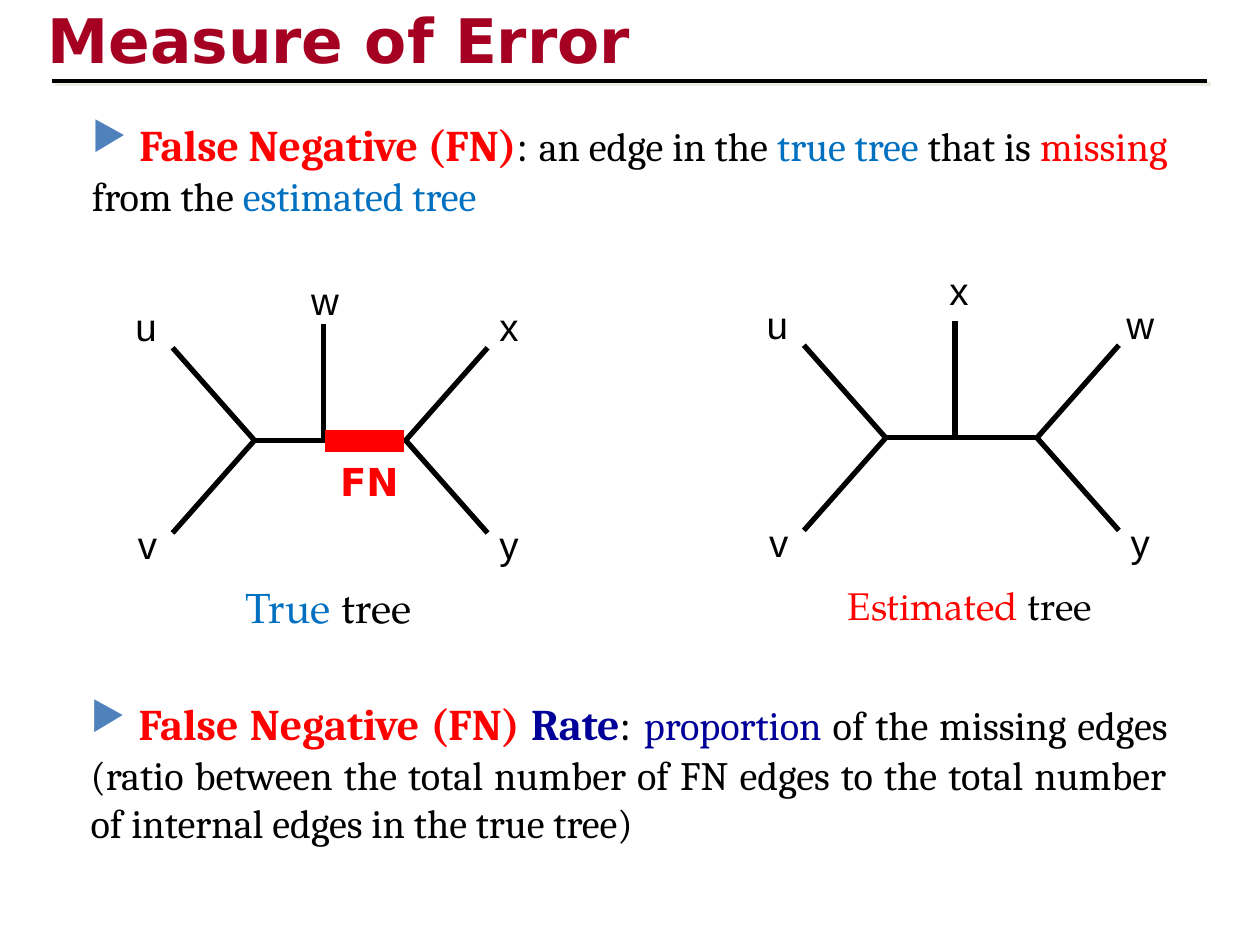
"""Build the slide that explains false negatives with a true and an estimated tree."""
from lxml.etree import SubElement
from pptx import Presentation
from pptx.dml.color import RGBColor as RGB
from pptx.enum.shapes import MSO_CONNECTOR as Connector
from pptx.enum.text import MSO_ANCHOR as Anchor, PP_ALIGN as Align
from pptx.oxml import parse_xml
from pptx.oxml.ns import nsdecls, qn
from pptx.util import Inches, Pt

THEME = {
    "black": "000000", "title": "A50021", "red": "FF0000", "blue": "0070C0",
    "navy": "000099", "bullet": "4F81BD", "shadow": "EEECE1",
    "title_font": "DejaVu Sans", "label_font": "Arial", "body_font": "Cambria",
    "space_font": "Times New Roman", "caption_font": "TeX Gyre Pagella",
    "title_size": 35.1, "label_size": 22, "term_size": 25, "gap_size": 28,
    "body_size": 23, "true_size": 24, "estimated_size": 22,
    "rule": 2.25, "edge": 3, "missing_edge": 13,
}
SHADOW = (f'<a:effectLst {nsdecls("a")}><a:outerShdw dist="35921" dir="2700000" algn="ctr" '
          f'rotWithShape="0"><a:srgbClr val="{THEME["shadow"]}"/></a:outerShdw></a:effectLst>')

deck = Presentation()
deck.slide_width, deck.slide_height = Inches(10), Inches(7.5)
slide = deck.slides.add_slide(deck.slide_layouts[6])
COLUMN, ROW = deck.slide_width / 100, deck.slide_height / 75


def add_edge(start, end, color="black", weight="edge"):
    (x1, y1), (x2, y2) = start, end
    edge = slide.shapes.add_connector(Connector.STRAIGHT, int(x1 * COLUMN), int(y1 * ROW),
                                      int(x2 * COLUMN), int(y2 * ROW))
    edge.line.color.rgb = RGB.from_string(THEME[color])
    edge.line.width = Pt(THEME[weight])
    SubElement(edge._element.spPr, qn("a:effectLst"))
    return edge


def add_text(area, pieces, frame_format=None, paragraph_format=None, bullet=False):
    left, top, width, height = area
    box = slide.shapes.add_textbox(int(left * COLUMN), int(top * ROW),
                                   int(width * COLUMN), int(height * ROW))
    frame = box.text_frame
    paragraph = frame.paragraphs[0]
    for target, values in ((frame, {"word_wrap": True, **(frame_format or {})}),
                           (paragraph, paragraph_format or {})):
        for attribute, value in values.items():
            setattr(target, attribute, value)
    if bullet:
        properties = paragraph._p.get_or_add_pPr()
        SubElement(SubElement(properties, qn("a:buClr")), qn("a:srgbClr"), val=THEME["bullet"])
        SubElement(properties, qn("a:buSzPct"), val="90000")
        SubElement(properties, qn("a:buChar"), char="▶")
    for wording, font, size, color, bold in pieces:
        run = paragraph.add_run()
        run.text = wording
        for attribute, value in {"name": THEME[font], "size": Pt(THEME[size]), "bold": bold}.items():
            setattr(run.font, attribute, value)
        run.font.color.rgb = RGB.from_string(THEME[color])
    return paragraph


heading = add_text((2.8, -0.3, 85, 6.7),
                   [("Measure of Error", "title_font", "title_size", "title", True)])
heading.runs[0].font._element.find(qn("a:latin")).addprevious(parse_xml(SHADOW))
rule = add_edge((4.1, 6.4), (95.8, 6.4), weight="rule")
rule._element.spPr.replace(rule._element.spPr.find(qn("a:effectLst")), parse_xml(SHADOW))

label_frame = {"vertical_anchor": Anchor.MIDDLE, "margin_left": 0, "margin_right": 0,
               "margin_top": 0, "margin_bottom": 0}
label_paragraph = {"alignment": Align.CENTER, "line_spacing": 0.93}
LABEL_WIDTH, LABEL_HEIGHT = 6.5, 5.1
SPAN, DROP, FORK, STEM = 25, 14.7, 6.5, 12
MIDDLE = DROP / 2
leaf_spots = ((-2.1, -1.5), (-2, 15.8), (26.7, -1.5), (26.7, 15.8))
branches = (((0, 0), (FORK, MIDDLE)), ((0, DROP), (FORK, MIDDLE)),
            ((SPAN, 0), (SPAN - FORK, MIDDLE)), ((SPAN, DROP), (SPAN - FORK, MIDDLE)),
            ((FORK, MIDDLE), (SPAN - FORK, MIDDLE)), ((STEM, MIDDLE), (STEM, -1.9)))
trees = (((13.7, 27.6), "uvxy", "w", (12.1, -3.6)),
         ((63.8, 27.4), "uvwy", "x", (12.3, -4.2)))
for (tree_x, tree_y), leaves, top_leaf, top_spot in trees:
    for start, end in branches:
        add_edge(*((tree_x + x, tree_y + y) for x, y in (start, end)))
    for leaf, (x, y) in zip(leaves + top_leaf, (*leaf_spots, top_spot)):
        add_text((tree_x + x - LABEL_WIDTH / 2, tree_y + y - LABEL_HEIGHT / 2,
                  LABEL_WIDTH, LABEL_HEIGHT),
                 [(leaf, "label_font", "label_size", "black", False)],
                 label_frame, label_paragraph)

add_edge((25.8, 35), (32.1, 35), "red", "missing_edge")
add_text((26.7, 35.9, 5.2, 4.6), [("FN", "title_font", "label_size", "red", True)],
         {**label_frame, "word_wrap": False}, {"alignment": Align.CENTER})

add_text((6.3, 8.4, 87.5, 9.8), [
    (" ", "space_font", "term_size", "black", False),
    ("False Negative (FN)", "body_font", "term_size", "red", True),
    (":", "body_font", "term_size", "black", False),
    (" ", "body_font", "gap_size", "black", False),
    ("an edge in the ", "body_font", "body_size", "black", False),
    ("true tree ", "body_font", "body_size", "blue", False),
    ("that is ", "body_font", "body_size", "black", False),
    ("missing", "body_font", "body_size", "red", False),
    (" from the ", "body_font", "body_size", "black", False),
    ("estimated tree", "body_font", "body_size", "blue", False),
], bullet=True)

captions = (((18.5, 45.7, 17.3, 5), "True ", "true_size", "blue"),
            ((66.3, 45.7, 22.5, 4.7), "Estimated ", "estimated_size", "red"))
for area, kind, size, color in captions:
    add_text(area, [(kind, "caption_font", size, color, False),
                    ("tree", "caption_font", size, "black", False)])

add_text((6.2, 54.4, 87.5, 13.8), [
    (" ", "body_font", "term_size", "black", False),
    ("False Negative (FN) ", "body_font", "term_size", "red", True),
    ("Rate", "body_font", "term_size", "navy", True),
    (":", "body_font", "term_size", "black", False),
    (" ", "body_font", "gap_size", "black", False),
    ("proportion ", "body_font", "body_size", "navy", False),
    ("of the missing edges (ratio between the total number of FN edges to the total "
     "number of internal edges in the true tree)", "body_font", "body_size", "black", False),
], paragraph_format={"alignment": Align.JUSTIFY}, bullet=True)

deck.save("out.pptx")
